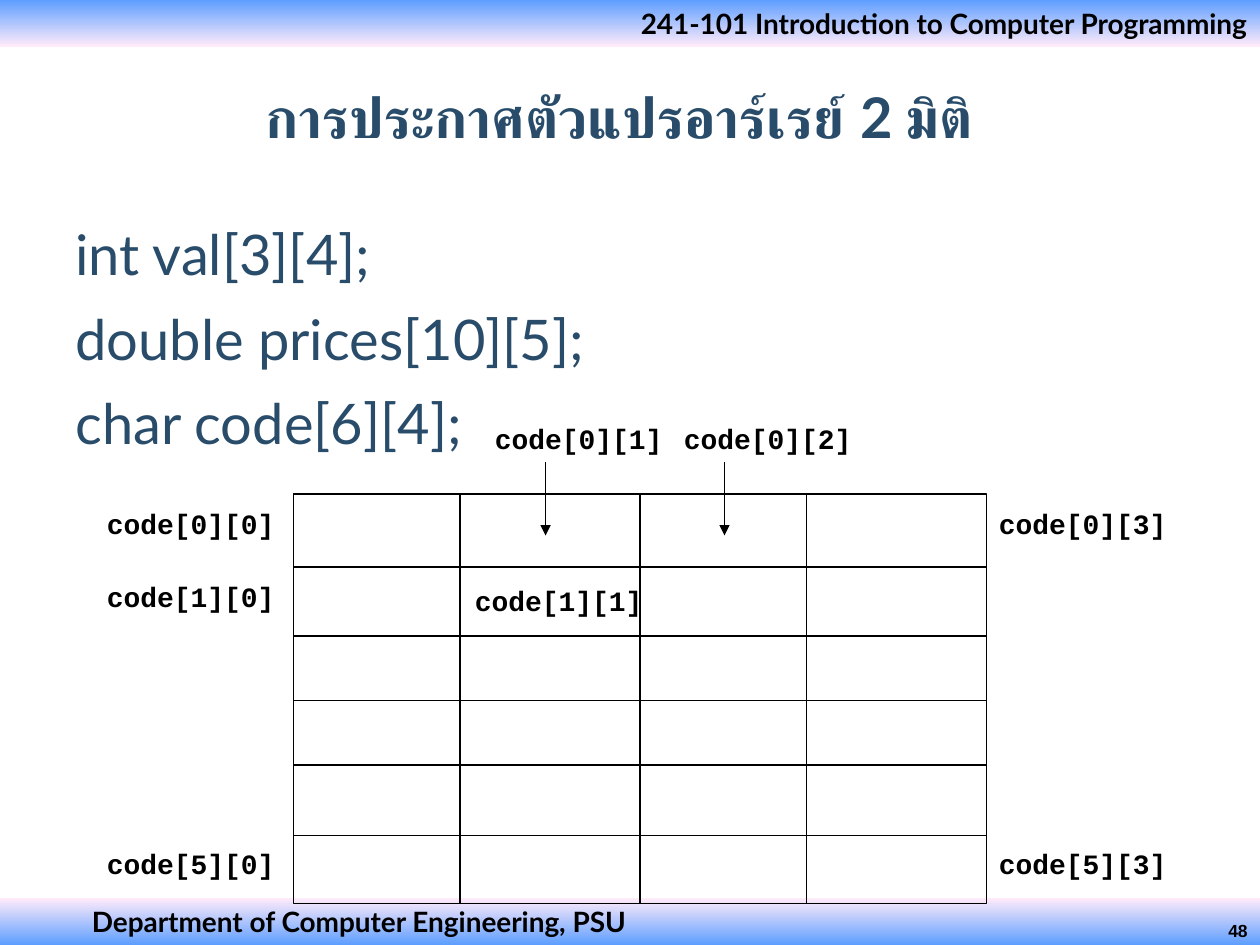
from dataclasses import dataclass

from lxml import etree
from pptx import Presentation
from pptx.dml.color import RGBColor
from pptx.enum.shapes import MSO_CONNECTOR, MSO_SHAPE
from pptx.enum.text import MSO_ANCHOR, PP_ALIGN
from pptx.oxml.ns import qn
from pptx.util import Inches, Pt

LEFT, CENTER, RIGHT = PP_ALIGN.LEFT, PP_ALIGN.CENTER, PP_ALIGN.RIGHT
TOP, MIDDLE = MSO_ANCHOR.TOP, MSO_ANCHOR.MIDDLE
RECTANGLE, STRAIGHT = MSO_SHAPE.RECTANGLE, MSO_CONNECTOR.STRAIGHT


@dataclass(frozen=True)
class Theme:
    """Colours, fonts and type sizes of the slide."""
    black: RGBColor = RGBColor(0x00, 0x00, 0x00)
    navy: RGBColor = RGBColor(0x28, 0x4C, 0x6A)
    blue: RGBColor = RGBColor(0x5E, 0x9E, 0xFF)
    pink: RGBColor = RGBColor(0xFF, 0xEB, 0xFA)
    sans: str = "Lato"
    mono: str = "Courier New"
    number: str = "Arial"
    large: Pt = Pt(32)
    medium: Pt = Pt(16)
    small: Pt = Pt(10)


THEME = Theme()
HEADING = {"name": THEME.sans, "size": THEME.large, "bold": True, "color": THEME.navy}
BODY = {**HEADING, "bold": False}
BAND = {"name": THEME.sans, "size": THEME.medium, "bold": True, "color": THEME.black}
CODE = {**BAND, "name": THEME.mono}
NUMBER = {**BAND, "name": THEME.number, "size": THEME.small}

COLUMN_EDGES = [2.33, 3.65, 5.08, 6.4, 7.83]
ROW_EDGES = [3.92, 4.5, 5.05, 5.56, 6.07, 6.63, 7.17]
LABEL_SIZE = (1.58, 0.37)
LABELS = {
    "code[0][1]": (3.83, 3.3),
    "code[0][2]": (5.33, 3.3),
    "code[0][0]": (0.75, 3.97),
    "code[0][3]": (7.83, 3.97),
    "code[1][0]": (0.75, 4.55),
    "code[1][1]": (3.67, 4.58),
    "code[5][0]": (0.75, 6.67),
    "code[5][3]": (7.83, 6.67),
}
ARROW_COLUMNS = [4.33, 5.75]
DECLARATIONS = ["int val[3][4];", "double prices[10][5];", "char code[6][4];"]


def set_values(target, values):
    """Set each named attribute of the target."""
    for name, value in values.items():
        setattr(target, name, value)


def write_text(shape, lines, style, align=LEFT, anchor=TOP, indent=0.1,
               paragraph_format=None):
    """Fill a shape with paragraphs in one style."""
    frame = shape.text_frame
    set_values(frame, {
        "word_wrap": True, "vertical_anchor": anchor,
        "margin_left": Inches(indent), "margin_right": Inches(0.1),
        "margin_top": Inches(0.05), "margin_bottom": Inches(0.05),
    })
    frame.text = "\n".join(lines)
    font_values = {name: value for name, value in style.items() if name != "color"}
    for index, paragraph in enumerate(frame.paragraphs):
        set_values(paragraph, {"alignment": align, **(paragraph_format or {})})
        if index == 0:
            paragraph.space_before = Pt(0)
        for run in paragraph.runs:
            set_values(run.font, font_values)
            run.font.color.rgb = style["color"]


def add_text(slide, box, lines, style, **options):
    """Add a text box."""
    shape = slide.shapes.add_textbox(*map(Inches, box))
    write_text(shape, lines, style, **options)


def add_title(slide, box, text):
    """Place and format the title placeholder."""
    title = slide.shapes.title
    set_values(title, dict(zip(("left", "top", "width", "height"), map(Inches, box))))
    write_text(title, [text], HEADING, align=CENTER, anchor=MIDDLE)


def add_band(slide, top, colors, text, **options):
    """Add a full-width gradient band with a caption."""
    band = slide.shapes.add_shape(RECTANGLE, *map(Inches, (0, top, 10, 0.37)))
    band.shadow.inherit = False
    band.line.fill.background()
    band.fill.gradient()
    band.fill.gradient_angle = 270
    for stop, color in zip(band.fill.gradient_stops, colors):
        stop.color.rgb = color
    write_text(band, [text], BAND, **options)


def add_line(slide, start, end, width=1, arrow=False):
    """Add a straight black line, with an arrowhead at its end if asked."""
    connector = slide.shapes.add_connector(STRAIGHT, *map(Inches, (*start, *end)))
    connector.line.color.rgb = THEME.black
    connector.line.width = Pt(width)
    if arrow:
        etree.SubElement(connector.line._get_or_add_ln(), qn("a:tailEnd"), type="triangle")
    etree.SubElement(connector._element.spPr, qn("a:effectLst"))


def add_grid(slide, columns, rows):
    """Draw the array as a frame with inner lines at the given edges."""
    left, right, top, bottom = columns[0], columns[-1], rows[0], rows[-1]
    frame = slide.shapes.add_shape(
        RECTANGLE, *map(Inches, (left, top, right - left, bottom - top)))
    frame.shadow.inherit = False
    frame.fill.background()
    frame.line.color.rgb = THEME.black
    frame.line.width = Pt(1)
    for x in columns[1:-1]:
        add_line(slide, (x, top), (x, bottom))
    for y in rows[1:-1]:
        add_line(slide, (left, y), (right, y))


def main():
    """Build and save the slide."""
    presentation = Presentation()
    set_values(presentation, {"slide_width": Inches(10), "slide_height": Inches(7.5)})
    slide = presentation.slides.add_slide(presentation.slide_layouts[5])

    add_band(slide, 0, (THEME.blue, THEME.pink),
             "241-101 Introduction to Computer Programming", align=RIGHT)
    add_band(slide, 7.13, (THEME.pink, THEME.blue),
             "Department of Computer Engineering, PSU", indent=0.73)
    add_text(slide, (7.92, 7.25, 2.08, 0.25), ["48"], NUMBER, align=RIGHT)
    add_title(slide, (0.5, 0.42, 8.83, 1), "การประกาศตัวแปรอาร์เรย์ 2 มิติ")
    add_text(slide, (0.5, 1.67, 8.83, 5.33), DECLARATIONS, BODY,
             paragraph_format={"line_spacing": 1.05, "space_before": Pt(8)})

    add_grid(slide, COLUMN_EDGES, ROW_EDGES)
    for text, position in LABELS.items():
        add_text(slide, (*position, *LABEL_SIZE), [text], CODE)
    for x in ARROW_COLUMNS:
        add_line(slide, (x, 3.67), (x, 4.25), width=0.75, arrow=True)

    presentation.save("out.pptx")


if __name__ == "__main__":
    main()
